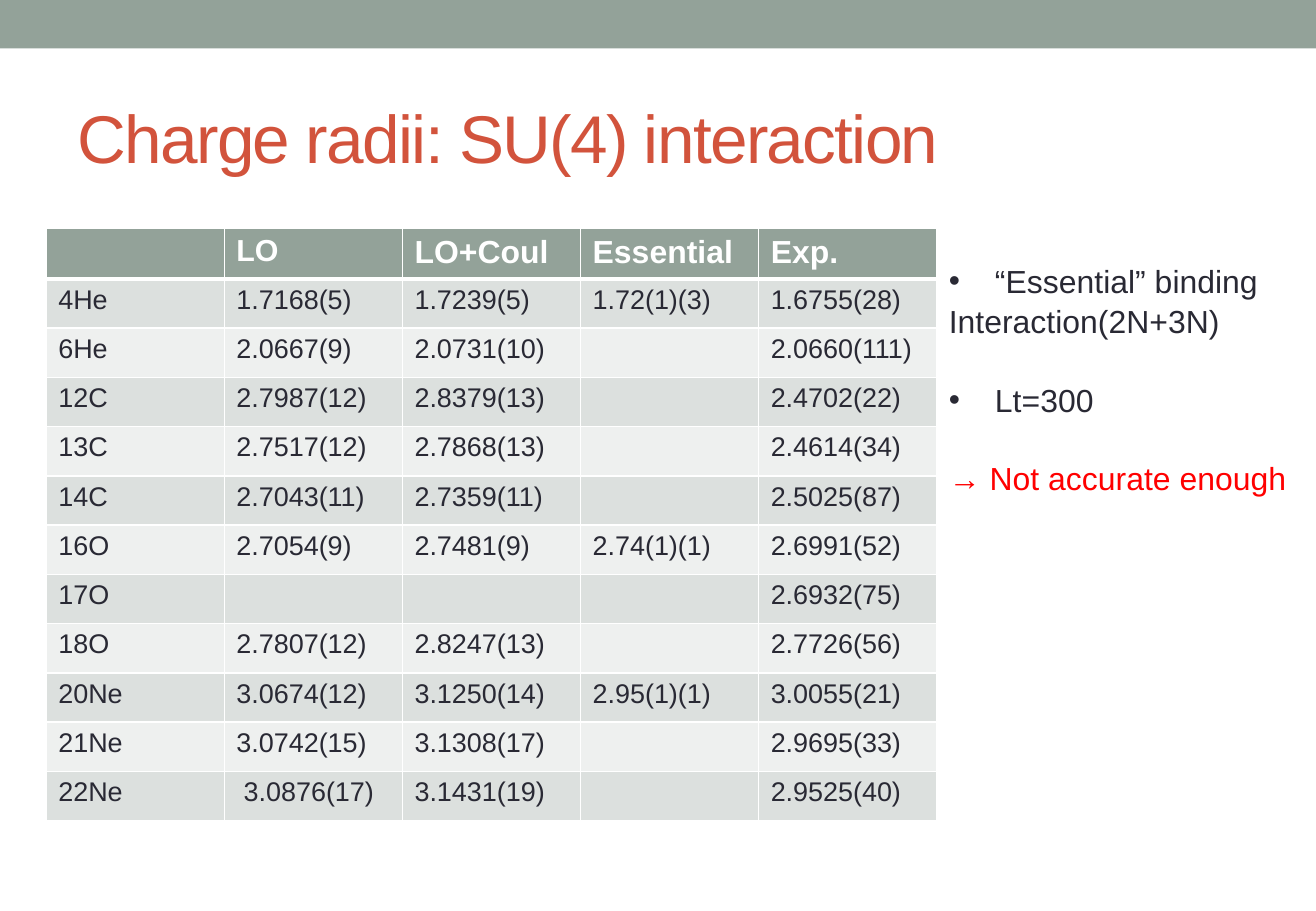
from dataclasses import dataclass

import pptx
import pptx.dml.color
import pptx.enum.shapes
import pptx.enum.text
import pptx.oxml.ns
import pptx.util
from lxml import etree
from pptx.util import Inches


@dataclass(frozen=True)
class Theme:
    font: str = "Arial"
    accent: str = "93A299"
    title: str = "D2533C"
    text: str = "292934"
    alert: str = "FF0000"
    white: str = "FFFFFF"
    bands: tuple = ("DCE0DE", "EEF0EF")
    title_size: float = 40
    note_size: float = 18.9
    header_size: float = 18.9
    first_header_size: float = 18
    body_size: float = 16


THEME = Theme()

HEADER = ("", "LO", "LO+Coul", "Essential", "Exp.")
RADII = (
    ("4He", "1.7168(5)", "1.7239(5)", "1.72(1)(3)", "1.6755(28)"),
    ("6He", "2.0667(9)", "2.0731(10)", "", "2.0660(111)"),
    ("12C", "2.7987(12)", "2.8379(13)", "", "2.4702(22)"),
    ("13C", "2.7517(12)", "2.7868(13)", "", "2.4614(34)"),
    ("14C", "2.7043(11)", "2.7359(11)", "", "2.5025(87)"),
    ("16O", "2.7054(9)", "2.7481(9)", "2.74(1)(1)", "2.6991(52)"),
    ("17O", "", "", "", "2.6932(75)"),
    ("18O", "2.7807(12)", "2.8247(13)", "", "2.7726(56)"),
    ("20Ne", "3.0674(12)", "3.1250(14)", "2.95(1)(1)", "3.0055(21)"),
    ("21Ne", "3.0742(15)", "3.1308(17)", "", "2.9695(33)"),
    ("22Ne", "3.0876(17)", "3.1431(19)", "", "2.9525(40)"),
)
# text, colour, bulleted, space before in points
NOTES = (
    ("“Essential” binding", THEME.text, True, 0),
    ("Interaction(2N+3N)", THEME.text, False, 0),
    ("Lt=300", THEME.text, True, 22.7),
    ("→ Not accurate enough", THEME.alert, False, 22.7),
)


def rgb(color):
    return pptx.dml.color.RGBColor.from_string(color)


def add_element(parent, tag, **attributes):
    return etree.SubElement(parent, pptx.oxml.ns.qn(tag), attributes)


def style_runs(paragraph, size, color, bold=False):
    for run in paragraph.runs:
        run.font.name = THEME.font
        run.font.size = pptx.util.Pt(size)
        run.font.bold = bold
        run.font.color.rgb = rgb(color)


def add_text_box(slide, left, top, width, height):
    shape = slide.shapes.add_textbox(
        Inches(left), Inches(top), Inches(width), Inches(height))
    shape.text_frame.word_wrap = True
    return shape.text_frame


def add_band(slide, width):
    shape = slide.shapes.add_shape(
        pptx.enum.shapes.MSO_SHAPE.RECTANGLE, 0, 0, width, Inches(0.4))
    shape.shadow.inherit = False
    shape.fill.solid()
    shape.fill.fore_color.rgb = rgb(THEME.accent)
    shape.line.fill.background()


def add_title(slide, text):
    frame = add_text_box(slide, 0.54, 0.58, 9.75, 1.08)
    frame.vertical_anchor = pptx.enum.text.MSO_ANCHOR.MIDDLE
    frame.text = text
    paragraph = frame.paragraphs[0]
    style_runs(paragraph, THEME.title_size, THEME.title)
    paragraph.runs[0].font._element.set("spc", "-100")


def set_borders(cell, bottom_width):
    properties = cell._tc.get_or_add_tcPr()
    for side, points in (("L", 1), ("R", 1), ("T", 1), ("B", bottom_width)):
        line = add_element(properties, f"a:ln{side}", w=str(pptx.util.Pt(points)))
        fill = add_element(line, "a:solidFill")
        add_element(fill, "a:srgbClr", val=THEME.white)


def style_cell(cell, fill, size, color, bold, bottom_width=1):
    set_borders(cell, bottom_width)
    cell.fill.solid()
    cell.fill.fore_color.rgb = rgb(fill)
    style_runs(cell.text_frame.paragraphs[0], size, color, bold)


def add_radii_table(slide):
    rows = (HEADER, *RADII)
    table = slide.shapes.add_table(
        len(rows), len(HEADER),
        Inches(0.38), Inches(1.88), Inches(7.33), Inches(4.87)).table
    for row_index, values in enumerate(rows):
        for column_index, value in enumerate(values):
            cell = table.cell(row_index, column_index)
            cell.text = value
            if row_index == 0:
                size = THEME.first_header_size if column_index == 1 else THEME.header_size
                style_cell(cell, THEME.accent, size, THEME.white, True, 3)
            else:
                band = THEME.bands[(row_index - 1) % 2]
                style_cell(cell, band, THEME.body_size, THEME.text, False,)
    table.cell(len(RADII), 1).margin_left = Inches(0.16)


def add_bullet(paragraph):
    properties = paragraph._p.get_or_add_pPr()
    indent = Inches(0.38)
    properties.set("marL", str(indent))
    properties.set("indent", str(-indent))
    add_element(properties, "a:buFont", typeface=THEME.font)
    add_element(properties, "a:buChar", char="•")


def add_notes(slide):
    frame = add_text_box(slide, 7.71, 2.09, 3.12, 2)
    frame.text = "\n".join(note[0] for note in NOTES)
    for paragraph, (_, color, bulleted, gap) in zip(frame.paragraphs, NOTES):
        if bulleted:
            add_bullet(paragraph)
        paragraph.line_spacing = 1.05
        paragraph.space_before = pptx.util.Pt(gap)
        style_runs(paragraph, THEME.note_size, color)


def main():
    presentation = pptx.Presentation()
    presentation.slide_width = Inches(10.83)
    presentation.slide_height = Inches(7.5)
    slide = presentation.slides.add_slide(presentation.slide_layouts[6])
    add_band(slide, presentation.slide_width)
    add_title(slide, "Charge radii: SU(4) interaction")
    add_radii_table(slide)
    add_notes(slide)
    presentation.save("out.pptx")


if __name__ == "__main__":
    main()
